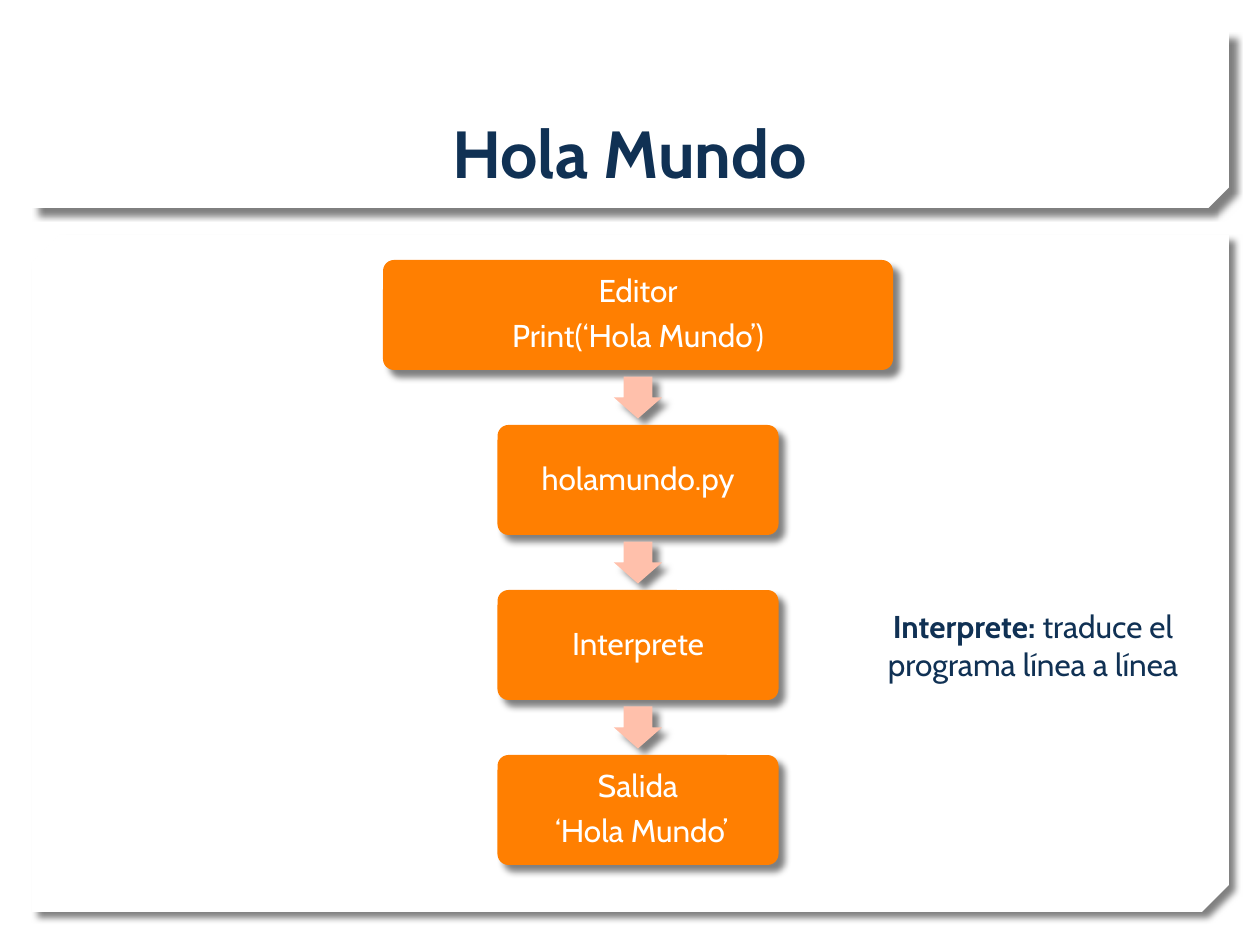
import pptx
import pptx.dml.color
import pptx.enum.shapes
import pptx.enum.text
import pptx.oxml
import pptx.oxml.ns
import pptx.util

RGBColor = pptx.dml.color.RGBColor
SHAPE = pptx.enum.shapes.MSO_SHAPE
ANCHOR = pptx.enum.text.MSO_ANCHOR

WHITE = RGBColor(0xFF, 0xFF, 0xFF)
NAVY = RGBColor(0x10, 0x31, 0x54)
ORANGE = RGBColor(0xFF, 0x7F, 0x01)
PEACH = RGBColor(0xFF, 0xC0, 0xAB)

FONT = "Cabin"
EMU_PER_PX = 914400 / 126

# Flow layout, in px
CENTER_X = 638
FLOW_TOP = 260
BOX_H = 110
STEP_GAP = 55
ARROW_W, ARROW_H = 48, 42
STEPS = [
    (510, ["Editor", "Print(‘Hola Mundo’)"]),
    (281, ["holamundo.py"]),
    (281, ["Interprete"]),
    (281, ["Salida", " ‘Hola Mundo’"]),
]

SHADOW_XML = (
    '<a:outerShdw %s blurRad="50800" dist="63500" dir="2700000" algn="tl" rotWithShape="0">'
    '<a:srgbClr val="000000"><a:alpha val="50000"/></a:srgbClr></a:outerShdw>'
    % pptx.oxml.ns.nsdecls("a")
)


def px(n):
    return pptx.util.Emu(round(n * EMU_PER_PX))


def add_shadowed(s, kind, x, y, w, h, fill, adjustments):
    sp = s.shapes.add_shape(kind, px(x), px(y), px(w), px(h))
    for i, value in enumerate(adjustments):
        sp.adjustments[i] = value
    sp.fill.solid()
    sp.fill.fore_color.rgb = fill
    sp.line.fill.background()
    sp.shadow.inherit = False
    effects = sp._element.spPr.find(pptx.oxml.ns.qn("a:effectLst"))
    effects.append(pptx.oxml.parse_xml(SHADOW_XML))
    return sp


def add_run(p, text, size, color, bold=False):
    r = p.add_run()
    r.text = text
    r.font.name = FONT
    r.font.size = pptx.util.Pt(size)
    r.font.bold = bold
    r.font.color.rgb = color


def add_text(s, x, y, w, h, runs, size, anchor):
    tf = s.shapes.add_textbox(px(x), px(y), px(w), px(h)).text_frame
    tf.word_wrap = True
    tf.vertical_anchor = anchor
    p = tf.paragraphs[0]
    p.alignment = pptx.enum.text.PP_ALIGN.CENTER
    for text, bold in runs:
        add_run(p, text, size, NAVY, bold)


def add_step(s, y, w, lines):
    sp = add_shadowed(s, SHAPE.ROUNDED_RECTANGLE, CENTER_X - w / 2, y, w, BOX_H, ORANGE, [0.1])
    tf = sp.text_frame
    tf.word_wrap = True
    tf.vertical_anchor = ANCHOR.MIDDLE
    tf.margin_left = tf.margin_right = tf.margin_top = tf.margin_bottom = px(12)
    for i, line in enumerate(lines):
        p = tf.add_paragraph() if i else tf.paragraphs[0]
        p.alignment = pptx.enum.text.PP_ALIGN.CENTER
        p.line_spacing = 0.9
        p.space_after = pptx.util.Pt(6)
        add_run(p, line, 18, WHITE)


def add_arrow(s, y):
    add_shadowed(s, SHAPE.DOWN_ARROW, CENTER_X - ARROW_W / 2, y, ARROW_W, ARROW_H, PEACH, [0.6, 0.5])


def main():
    prs = pptx.Presentation()
    prs.slide_width = px(1260)
    prs.slide_height = px(945)
    s = prs.slides.add_slide(prs.slide_layouts[6])

    # Panels with a cut corner
    add_shadowed(s, SHAPE.SNIP_2_DIAG_RECTANGLE, 32, 235, 1197, 677, WHITE, [0.04, 0])
    add_shadowed(s, SHAPE.SNIP_2_DIAG_RECTANGLE, 32, 32, 1197, 176, WHITE, [0.117, 0])

    # Title
    add_text(s, 107, 40, 1045, 158, [("Hola Mundo", True)], 38, ANCHOR.BOTTOM)

    # Flow of steps, with an arrow centred in each gap
    for i, (width, lines) in enumerate(STEPS):
        y = FLOW_TOP + i * (BOX_H + STEP_GAP)
        if i:
            add_arrow(s, y - (STEP_GAP + ARROW_H) / 2)
        add_step(s, y, width, lines)

    # Side note
    note = [("Interprete: ", True), ("traduce el programa línea a línea", False)]
    add_text(s, 849, 601, 368, 89, note, 18, ANCHOR.TOP)

    prs.save("out.pptx")


if __name__ == "__main__":
    main()
